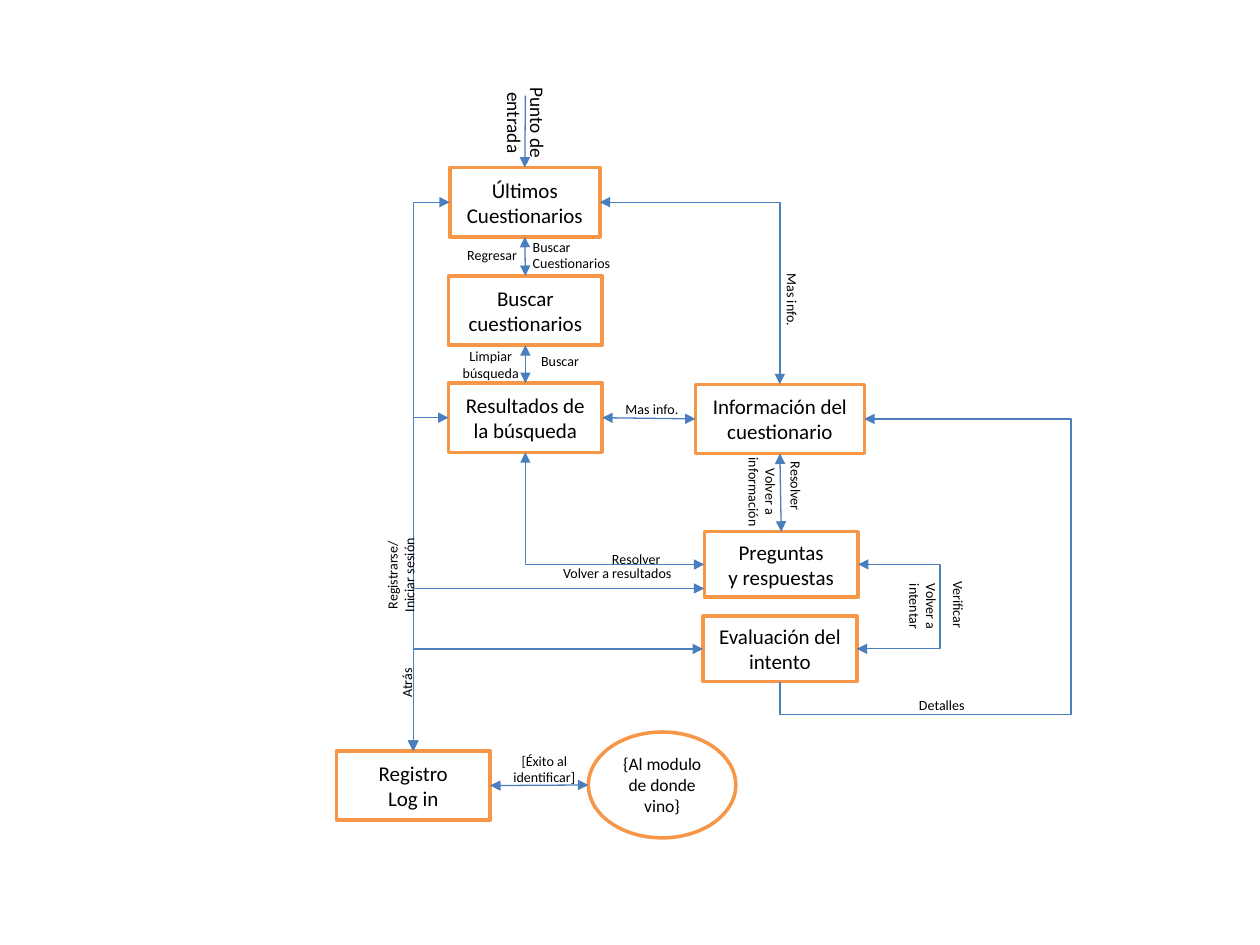
"""Draw the screen flow of a quiz application."""
from pptx import Presentation
from pptx.util import Inches, Pt
from pptx.dml.color import RGBColor
from pptx.enum.shapes import MSO_SHAPE as Kind, MSO_CONNECTOR as Link
from pptx.enum.text import PP_ALIGN as Align, MSO_ANCHOR as Anchor, MSO_AUTO_SIZE as Fit
from pptx.oxml.ns import qn
from lxml.etree import SubElement

ORANGE, BLUE, WHITE, BLACK = "F79646", "4B7EBC", "FFFFFF", "000000"
TOP, LEFT, BOTTOM, RIGHT = range(4)

BOXES = {
    "last": ("Últimos Cuestionarios", 3.57, 1.33, 1.19, 0.55),
    "search": ("Buscar cuestionarios", 3.56, 2.19, 1.22, 0.55),
    "found": ("Resultados de la búsqueda", 3.56, 3.04, 1.22, 0.55),
    "info": ("Información del cuestionario", 5.52, 3.05, 1.34, 0.55),
    "quiz": ("Preguntas\ny respuestas", 5.59, 4.22, 1.22, 0.52),
    "grade": ("Evaluación del intento", 5.58, 4.89, 1.22, 0.52),
    "login": ("Registro\nLog in", 2.67, 5.96, 1.22, 0.55),
    "back": ("{Al modulo de donde vino}", 4.67, 5.81, 1.17, 0.84),
}

# Ends are (box, side) or a point; turns are the bend positions along x, then y.
LINKS = [
    ((4.17, 0.76), ("last", TOP), None, (), "tail"),
    (("last", BOTTOM), ("search", TOP), None, (), "both"),
    (("search", BOTTOM), ("found", TOP), None, (), "both"),
    (("found", RIGHT), ("info", LEFT), None, (), "both"),
    (("info", BOTTOM), ("quiz", TOP), None, (), "both"),
    ((4.67, 6.23), ("login", RIGHT), None, (), "both"),
    (("last", RIGHT), ("info", TOP), 2, (), "both"),
    (("quiz", LEFT), ("found", BOTTOM), 2, (), "both"),
    (("last", LEFT), ("login", TOP), 2, (), "both"),
    (("found", LEFT), ("login", TOP), 2, (), "both"),
    ((5.59, 4.67), ("login", TOP), 2, (), "both"),
    (("grade", LEFT), ("login", TOP), 2, (), "both"),
    (("grade", RIGHT), ("quiz", RIGHT), 3, (7.47,), "both"),
    (("info", RIGHT), ("grade", BOTTOM), 4, (8.5, 5.67), "head"),
]

LABELS = [
    ("Punto de entrada", 3.73, 0.74, 0.89, 0.47, 90, 11),
    ("Buscar\nCuestionarios", 4.13, 1.84, 0.87, 0.37, 0, 8),
    ("Regresar", 3.61, 1.91, 0.87, 0.24, 0, 8),
    ("Mas info.", 5.84, 2.26, 0.89, 0.24, 90, 8),
    ("Buscar", 4.18, 2.75, 0.53, 0.24, 0, 8),
    ("Limpiar búsqueda", 3.45, 2.71, 0.89, 0.37, 0, 8),
    ("Mas info.", 4.86, 3.13, 0.63, 0.24, 0, 8),
    ("Resolver", 6, 3.74, 0.63, 0.24, 90, 8),
    ("Volver a información", 5.64, 3.72, 0.82, 0.37, 90, 8),
    ("Resolver", 4.64, 4.32, 0.82, 0.24, 0, 8),
    ("Volver a resultados", 4.18, 4.43, 1.44, 0.24, 0, 8),
    ("Verificar", 7.29, 4.68, 0.63, 0.24, 90, 8),
    ("Volver a intentar", 7.01, 4.63, 0.63, 0.37, 90, 8),
    ("Detalles", 6.88, 5.48, 1.19, 0.24, 0, 8),
    ("Registrarse/ Iniciar sesión", 2.77, 4.38, 0.82, 0.37, 270, 8),
    ("Atrás", 2.82, 5.3, 0.82, 0.24, 270, 8),
    ("[Éxito al identificar]", 3.91, 5.92, 0.82, 0.37, 0, 8),
]
FLUSH = {"Buscar\nCuestionarios", "Regresar"}


def paint(fmt, hue):
    fmt.solid()
    fmt.fore_color.rgb = RGBColor.from_string(hue)


def write(shape, text, size, align, **frame):
    body = shape.text_frame
    body.text = text
    for name, value in {"word_wrap": True, **frame}.items():
        setattr(body, name, value)
    for para in body.paragraphs:
        para.alignment = align
        for name, value in {"name": "Calibri", "size": Pt(size)}.items():
            setattr(para.font, name, value)
        paint(para.font.fill, BLACK)


def draw_box(slide, name):
    text, *area = BOXES[name]
    oval = name == "back"
    kind = Kind.OVAL if oval else Kind.RECTANGLE
    shape = slide.shapes.add_shape(kind, *map(Inches, area))
    shape.shadow.inherit = False
    paint(shape.fill, WHITE)
    paint(shape.line.fill, ORANGE)
    shape.line.width = Pt(2)
    write(shape, text, 10 if oval else 12, Align.CENTER, vertical_anchor=Anchor.MIDDLE)
    return shape


def find(end):
    if end[0] not in BOXES:
        return end
    name, side = end
    x, y, w, h = BOXES[name][1:]
    return [(x + w / 2, y), (x, y + h / 2), (x + w / 2, y + h), (x + w, y + h / 2)][side]


def draw_link(slide, shapes, start, stop, bend, turns, heads):
    a, b = find(start), find(stop)
    kind = Link.ELBOW if bend else Link.STRAIGHT
    link = slide.shapes.add_connector(kind, *map(Inches, (*a, *b)))
    for end, join in ((start, link.begin_connect), (stop, link.end_connect)):
        if end[0] in shapes:
            join(shapes[end[0]], end[1])
    paint(link.line.fill, BLUE)
    link.line.width = Pt(0.75)
    props = link._element.spPr
    SubElement(props, qn("a:effectLst"))
    for side in ("head", "tail"):
        if heads in (side, "both"):
            SubElement(props.find(qn("a:ln")), qn(f"a:{side}End"), type="triangle")
    if bend:
        geom = props.find(qn("a:prstGeom"))
        geom.set("prst", f"bentConnector{bend}")
        guides = geom.find(qn("a:avLst"))
        for i, turn in enumerate(turns):
            ratio = round((turn - a[i]) / (b[i] - a[i]) * 100000)
            SubElement(guides, qn("a:gd"), name=f"adj{i + 1}" if bend > 3 else "adj1",
                       fmla=f"val {ratio}")


def draw_label(slide, text, x, y, w, h, turn, size):
    label = slide.shapes.add_textbox(*map(Inches, (x, y, w, h)))
    label.rotation = turn
    align = Align.LEFT if text in FLUSH else Align.CENTER
    write(label, text, size, align, auto_size=Fit.SHAPE_TO_FIT_TEXT)


def main():
    deck = Presentation()
    deck.slide_width, deck.slide_height = Inches(10), Inches(7.5)
    slide = deck.slides.add_slide(deck.slide_layouts[6])
    shapes = {name: draw_box(slide, name) for name in BOXES}
    for link in LINKS:
        draw_link(slide, shapes, *link)
    for label in LABELS:
        draw_label(slide, *label)
    deck.save("out.pptx")


if __name__ == "__main__":
    main()
